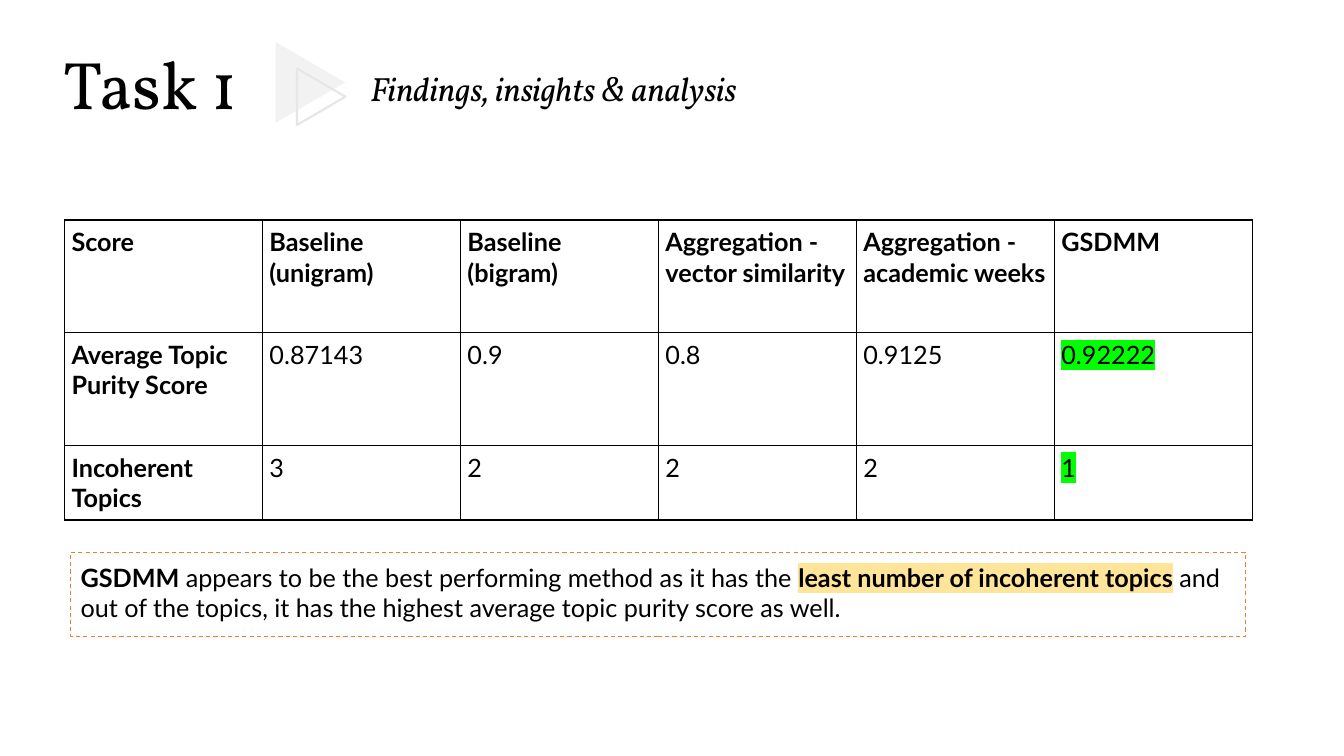
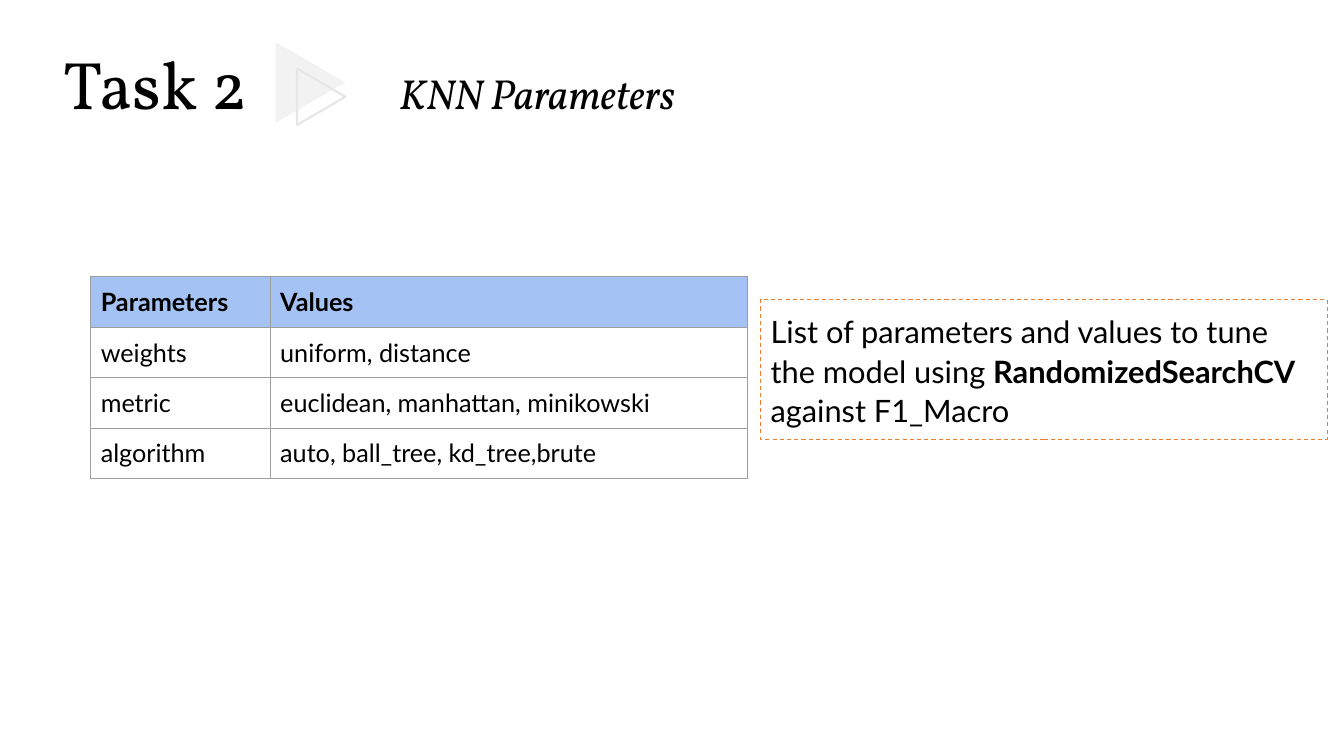
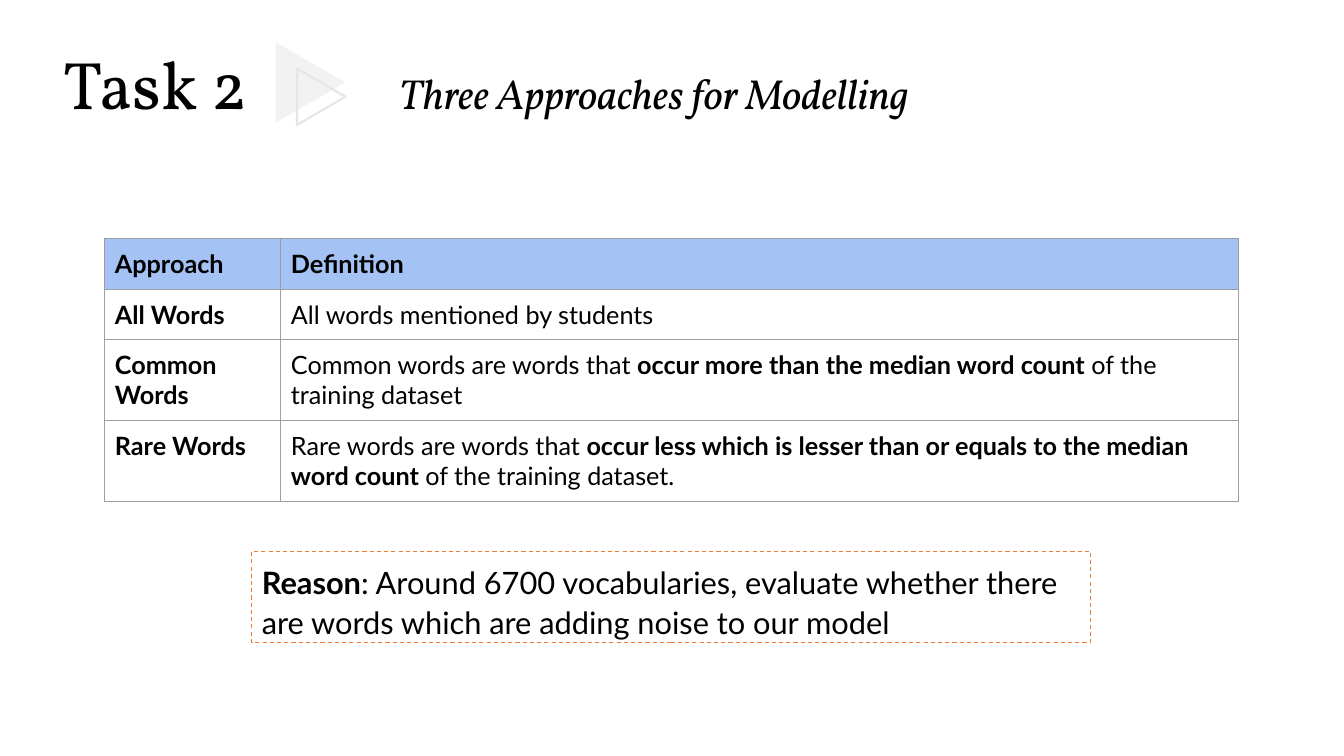
from lxml import etree
from pptx import Presentation
from pptx.dml.color import RGBColor
from pptx.enum.dml import MSO_LINE
from pptx.enum.shapes import MSO_SHAPE
from pptx.enum.text import MSO_ANCHOR, MSO_AUTO_SIZE, PP_ALIGN
from pptx.oxml.ns import qn
from pptx.util import Inches, Pt

TRIANGLE, RECTANGLE = MSO_SHAPE.ISOSCELES_TRIANGLE, MSO_SHAPE.RECTANGLE
DASH, LEFT, TOP, FIXED = MSO_LINE.DASH, PP_ALIGN.LEFT, MSO_ANCHOR.TOP, MSO_AUTO_SIZE.NONE

BLACK = RGBColor(0x00, 0x00, 0x00)
PALE_GRAY = RGBColor(0xF2, 0xF2, 0xF2)
LIGHT_GRAY = RGBColor(0xE7, 0xE6, 0xE6)
GRID_GRAY = RGBColor(0x9E, 0x9E, 0x9E)
ORANGE = RGBColor(0xED, 0x7D, 0x31)
HEADER_BLUE = RGBColor(0xA4, 0xC2, 0xF4)
GREEN = RGBColor(0x00, 0xFF, 0x00)
YELLOW = RGBColor(0xFF, 0xE5, 0x99)

HEADING_FONT, BODY_FONT = "Vollkorn", "Lato"
HIGHLIGHTS = {"0.92222": GREEN, "1": GREEN, "least number of incoherent topics": YELLOW}

# The grid has 100 columns and 100 rows; every place is (left, top, width, height) on it.
SLIDE_WIDTH, SLIDE_HEIGHT = Inches(13.33), Inches(7.5)
COLUMN, ROW = SLIDE_WIDTH / 100, SLIDE_HEIGHT / 100
TITLE_PLACE = (4, 4.9, 16.6, 12.1)
FILLED_TRIANGLE_PLACE = (20.1, 6.3, 6, 9.2)
OUTLINE_TRIANGLE_PLACE = (21.8, 9.6, 4.2, 6.4)
WIDE_SUBTITLE = {"place": (26.8, 8.3, 69.3, 5.3), "size": 24}
LARGE_SUBTITLE = {"place": (28.95, 8.3, 60.1, 14.5), "size": 30}

# Text between asterisks is bold.
SLIDES = [
    {
        "title": "Task 1",
        "subtitle": "Findings, insights & analysis",
        "subtitle_style": WIDE_SUBTITLE,
        "table": {
            "corner": (4.8, 29.1),
            "columns": [14.73] * 6,
            "rows": [14.9, 14.9, 9.9],
            "margin": 0.07,
            "border": (BLACK, 1),
            "header_fill": None,
            "cells": [
                ["*Score*", "*Baseline (unigram)*", "*Baseline (bigram)*",
                 "*Aggregation - vector similarity*",
                 "*Aggregation - academic weeks*", "*GSDMM*"],
                ["*Average Topic Purity Score*", "0.87143", "0.9", "0.8", "0.9125", "0.92222"],
                ["*Incoherent Topics*", "3", "2", "2", "2", "1"],
            ],
        },
        "note": "*GSDMM* appears to be the best performing method as it has the "
                "*least number of incoherent topics* and out of the topics, "
                "it has the highest average topic purity score as well.",
        "note_place": (5.25, 73.07, 87.45, 11.07),
        "note_size": 18,
        "note_spacing": 1.0,
    },
    {
        "title": "Task 2",
        "subtitle": "KNN Parameters",
        "subtitle_style": LARGE_SUBTITLE,
        "table": {
            "corner": (6.75, 36.6),
            "columns": [13.35, 35.55],
            "rows": [6.67] * 4,
            "margin": 0.1,
            "border": (GRID_GRAY, 0.75),
            "header_fill": HEADER_BLUE,
            "cells": [
                ["*Parameters*", "*Values*"],
                ["weights", "uniform, distance"],
                ["metric", "euclidean, manhattan, minikowski"],
                ["algorithm", "auto, ball_tree, kd_tree,brute"],
            ],
        },
        "note": "List of parameters and values to tune the model using "
                "*RandomizedSearchCV *against F1_Macro",
        "note_place": (56.6, 39.6, 42.15, 18.5),
        "note_size": 22,
        "note_spacing": 1.08,
    },
    {
        "title": "Task 2",
        "subtitle": "Three Approaches for Modelling",
        "subtitle_style": LARGE_SUBTITLE,
        "table": {
            "corner": (7.8, 31.6),
            "columns": [13.1, 71.25],
            "rows": [6.67, 6.67, 10.67, 10.67],
            "margin": 0.1,
            "border": (GRID_GRAY, 0.75),
            "header_fill": HEADER_BLUE,
            "cells": [
                ["*Approach*", "*Definition*"],
                ["*All Words*", "All words mentioned by students"],
                ["*Common Words*",
                 "Common words are words that *occur more than the median word count* "
                 "of the training dataset"],
                ["*Rare Words*",
                 "Rare words are words that *occur less which is lesser than or equals "
                 "to the median word count* of the training dataset."],
            ],
        },
        "note": "*Reason*: Around 6700 vocabularies, evaluate whether there are words "
                "which are adding noise to our model",
        "note_place": (18.75, 72.9, 62.4, 12.1),
        "note_size": 22,
        "note_spacing": 1.08,
    },
]


def on_grid(place):
    """Turn (left, top, width, height) on the grid into slide lengths."""
    left, top, width, height = place
    return int(left * COLUMN), int(top * ROW), int(width * COLUMN), int(height * ROW)


def write_text(text_frame, text, size, font_name=BODY_FONT, italic=False):
    """Fill the first paragraph, with bold between asterisks and highlights by wording."""
    text_frame.word_wrap = True
    paragraph = text_frame.paragraphs[0]
    paragraph.alignment = LEFT
    paragraph.space_before = Pt(0)
    for index, piece in enumerate(text.split("*")):
        if not piece:
            continue
        run = paragraph.add_run()
        run.text = piece
        run.font.size = Pt(size)
        run.font.name = font_name
        run.font.bold = index % 2 == 1
        run.font.italic = italic
        run.font.color.rgb = BLACK
        if piece in HIGHLIGHTS:
            highlight = etree.Element(qn("a:highlight"))
            etree.SubElement(highlight, qn("a:srgbClr"), val=str(HIGHLIGHTS[piece]))
            run.font._element.find(qn("a:latin")).addprevious(highlight)
    return paragraph


presentation = Presentation()
presentation.slide_width, presentation.slide_height = SLIDE_WIDTH, SLIDE_HEIGHT
title_layout = presentation.slide_layouts[0]

for content in SLIDES:
    slide = presentation.slides.add_slide(title_layout)

    # Title and subtitle
    style = content["subtitle_style"]
    headings = [
        (slide.shapes.title, content["title"], TITLE_PLACE, 48, False),
        (slide.placeholders[1], content["subtitle"], style["place"], style["size"], True),
    ]
    for shape, text, place, size, italic in headings:
        shape.left, shape.top, shape.width, shape.height = on_grid(place)
        shape.text_frame.auto_size = FIXED
        shape.text_frame.vertical_anchor = TOP
        write_text(shape.text_frame, text, size, HEADING_FONT, italic)

    # Arrow ornament
    ornament = slide.shapes.add_group_shape()
    filled = ornament.shapes.add_shape(TRIANGLE, *on_grid(FILLED_TRIANGLE_PLACE))
    filled.fill.solid()
    filled.fill.fore_color.rgb = PALE_GRAY
    filled.line.fill.background()
    outline = ornament.shapes.add_shape(TRIANGLE, *on_grid(OUTLINE_TRIANGLE_PLACE))
    outline.fill.background()
    outline.line.color.rgb = LIGHT_GRAY
    outline.line.width = Pt(1.5)
    for triangle in (filled, outline):
        triangle.rotation = 90
        triangle.shadow.inherit = False

    # Table
    design = content["table"]
    table_place = (*design["corner"], sum(design["columns"]), sum(design["rows"]))
    table = slide.shapes.add_table(
        len(design["rows"]), len(design["columns"]), *on_grid(table_place)).table
    for column, width in zip(table.columns, design["columns"]):
        column.width = int(width * COLUMN)
    for row, height in zip(table.rows, design["rows"]):
        row.height = int(height * ROW)
    border_color, border_width = design["border"]
    margin = Inches(design["margin"])
    for row_index, texts in enumerate(design["cells"]):
        for column_index, text in enumerate(texts):
            cell = table.cell(row_index, column_index)
            cell.margin_left = cell.margin_right = margin
            cell.margin_top = cell.margin_bottom = margin
            write_text(cell.text_frame, text, 18)
            if row_index == 0 and design["header_fill"]:
                cell.fill.solid()
                cell.fill.fore_color.rgb = design["header_fill"]
            else:
                cell.fill.background()
            properties = cell._tc.get_or_add_tcPr()
            for position, side in enumerate(("a:lnL", "a:lnR", "a:lnT", "a:lnB")):
                border = etree.Element(qn(side), w=str(Pt(border_width)))
                fill = etree.SubElement(border, qn("a:solidFill"))
                etree.SubElement(fill, qn("a:srgbClr"), val=str(border_color))
                properties.insert(position, border)

    # Dashed note
    note = slide.shapes.add_shape(RECTANGLE, *on_grid(content["note_place"]))
    note.shadow.inherit = False
    note.fill.background()
    note.line.color.rgb = ORANGE
    note.line.width = Pt(0.75)
    note.line.dash_style = DASH
    frame = note.text_frame
    frame.margin_left = frame.margin_right = Inches(0.1)
    frame.margin_top = frame.margin_bottom = Inches(0.1)
    frame.vertical_anchor = TOP
    paragraph = write_text(frame, content["note"], content["note_size"])
    paragraph.line_spacing = content["note_spacing"]

presentation.save("out.pptx")
